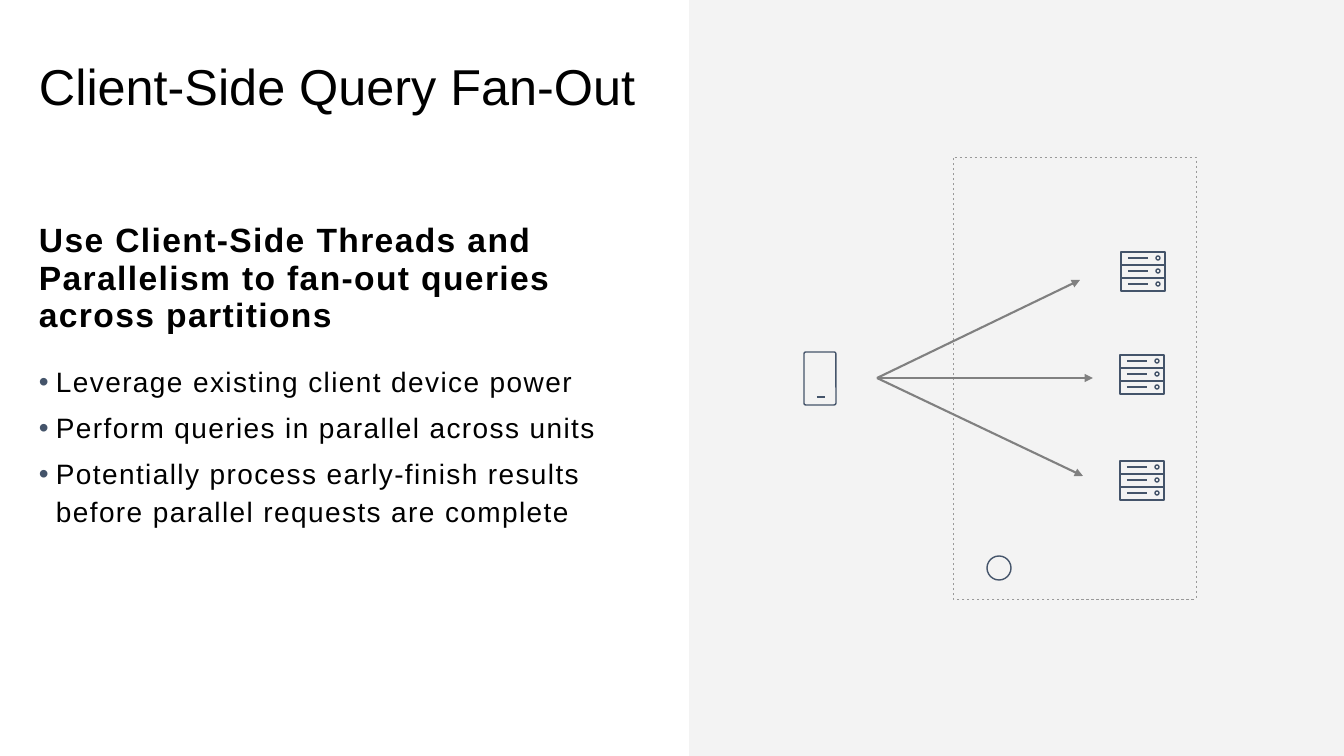
from pptx import Presentation
from pptx.dml.color import RGBColor
from pptx.enum.dml import MSO_LINE
from pptx.enum.shapes import MSO_CONNECTOR, MSO_SHAPE
from pptx.enum.text import MSO_ANCHOR
from pptx.oxml.ns import qn
from pptx.util import Pt
from lxml.etree import SubElement

# Content
TITLE = "Client-Side Query Fan-Out"
HEADING = "Use Client-Side Threads and Parallelism to fan-out queries across partitions"
BENEFITS = [
    "Leverage existing client device power",
    "Perform queries in parallel across units",
    "Potentially process early-finish results before parallel requests are complete",
]

# Layout in px
SLIDE = (1344, 756)
PANEL = (689, 0, 655, 756)
TITLE_BOX = (29, 0, 642, 178)
BODY_BOX = (29, 218, 622, 320)
PARTITIONS = (953, 157, 243, 442)
PLANET = (987, 556, 24, 24)
PHONE = (804, 352, 32, 53)
PHONE_BUTTON = (817, 397, 825, 397)
QUERY_START = (877, 378)
QUERY_ENDS = [(1093, 378), (1083, 476), (1080, 280)]
SERVERS = [(1120, 355), (1120, 461), (1121, 252)]
UNIT_W, UNIT_H, UNITS = 44, 13, 3
BULLET_INDENT = 17

THEME = {
    "font": "Arial", "text": "000000", "icon": "44546A", "query": "808080",
    "border": "999999", "panel": "F2F2F2", "panel_alpha": 89000,
    "title_size": 36, "heading_size": 24, "benefit_size": 20, "spacing": 100,
    "icon_line": 1, "query_line": 1.5, "border_line": 0.5,
}
EMU_PER_PX = 914400 / 100.8


def px(value):
    return round(value * EMU_PER_PX)


def color(name):
    return RGBColor.from_string(THEME[name])


prs = Presentation()
prs.slide_width, prs.slide_height = map(px, SLIDE)
slide = prs.slides.add_slide(prs.slide_layouts[6])


def add_outline(kind, box, role="icon"):
    shape = slide.shapes.add_shape(kind, *map(px, box))
    shape.shadow.inherit = False
    shape.fill.background()
    shape.line.color.rgb = color(role)
    shape.line.width = Pt(THEME[role + "_line"])
    return shape


def add_line(start, end, role="icon", arrow=False):
    line = slide.shapes.add_connector(MSO_CONNECTOR.STRAIGHT, *map(px, start + end))
    line.line.color.rgb = color(role)
    line.line.width = Pt(THEME[role + "_line"])
    props = line._element.spPr
    if arrow:
        SubElement(props.find(qn("a:ln")), qn("a:tailEnd"), type="triangle")
    SubElement(props, qn("a:effectLst"))


def add_text_frame(box, anchor):
    frame = slide.shapes.add_textbox(*map(px, box)).text_frame
    frame.word_wrap = True
    frame.vertical_anchor = anchor
    return frame


def write(paragraph, text, size, line_spacing, after=0, bold=False, spacing=0):
    run = paragraph.add_run()
    run.text = text
    for name, value in {"name": THEME["font"], "size": Pt(THEME[size]), "bold": bold}.items():
        setattr(run.font, name, value)
    run.font.color.rgb = color("text")
    if spacing:
        run.font._element.set("spc", str(spacing))
    paragraph.line_spacing = line_spacing
    paragraph.space_after = Pt(after)


def add_bullet(paragraph):
    props = paragraph._p.get_or_add_pPr()
    props.set("marL", str(px(BULLET_INDENT)))
    props.set("indent", str(-px(BULLET_INDENT)))
    SubElement(SubElement(props, qn("a:buClr")), qn("a:srgbClr"), val=THEME["icon"])
    SubElement(props, qn("a:buFont"), typeface=THEME["font"])
    SubElement(props, qn("a:buChar"), char="•")


# Right-hand panel
panel = slide.shapes.add_shape(MSO_SHAPE.RECTANGLE, *map(px, PANEL))
panel.shadow.inherit = False
panel.fill.solid()
panel.fill.fore_color.rgb = color("panel")
panel.line.fill.background()
panel_color = panel._element.spPr.find(qn("a:solidFill")).find(qn("a:srgbClr"))
SubElement(panel_color, qn("a:alpha"), val=str(THEME["panel_alpha"]))

# Title and body text
title = add_text_frame(TITLE_BOX, MSO_ANCHOR.MIDDLE)
write(title.paragraphs[0], TITLE, "title_size", 0.9)

body = add_text_frame(BODY_BOX, MSO_ANCHOR.TOP)
write(body.paragraphs[0], HEADING, "heading_size", 0.93, 18, True, THEME["spacing"])
for benefit in BENEFITS:
    item = body.add_paragraph()
    add_bullet(item)
    write(item, benefit, "benefit_size", 1.12, 6, spacing=THEME["spacing"])

# Partition boundary with its planet mark
boundary = add_outline(MSO_SHAPE.RECTANGLE, PARTITIONS, "border")
boundary.line.dash_style = MSO_LINE.DASH
add_outline(MSO_SHAPE.OVAL, PLANET)

# Client phone and its fanned-out queries
for query_end in QUERY_ENDS:
    add_line(QUERY_START, query_end, "query", arrow=True)
phone = add_outline(MSO_SHAPE.ROUNDED_RECTANGLE, PHONE)
phone.adjustments[0] = 0.06
add_line(PHONE_BUTTON[:2], PHONE_BUTTON[2:])

# Servers, each a stack of units with a slot and a light
for left, top in SERVERS:
    for unit in range(UNITS):
        y = top + unit * UNIT_H
        add_outline(MSO_SHAPE.RECTANGLE, (left, y, UNIT_W, UNIT_H))
        add_outline(MSO_SHAPE.OVAL, (left + 35, y + 4, 4, 4))
        add_line((left + 7, y + 6), (left + 27, y + 6))

prs.save("out.pptx")
